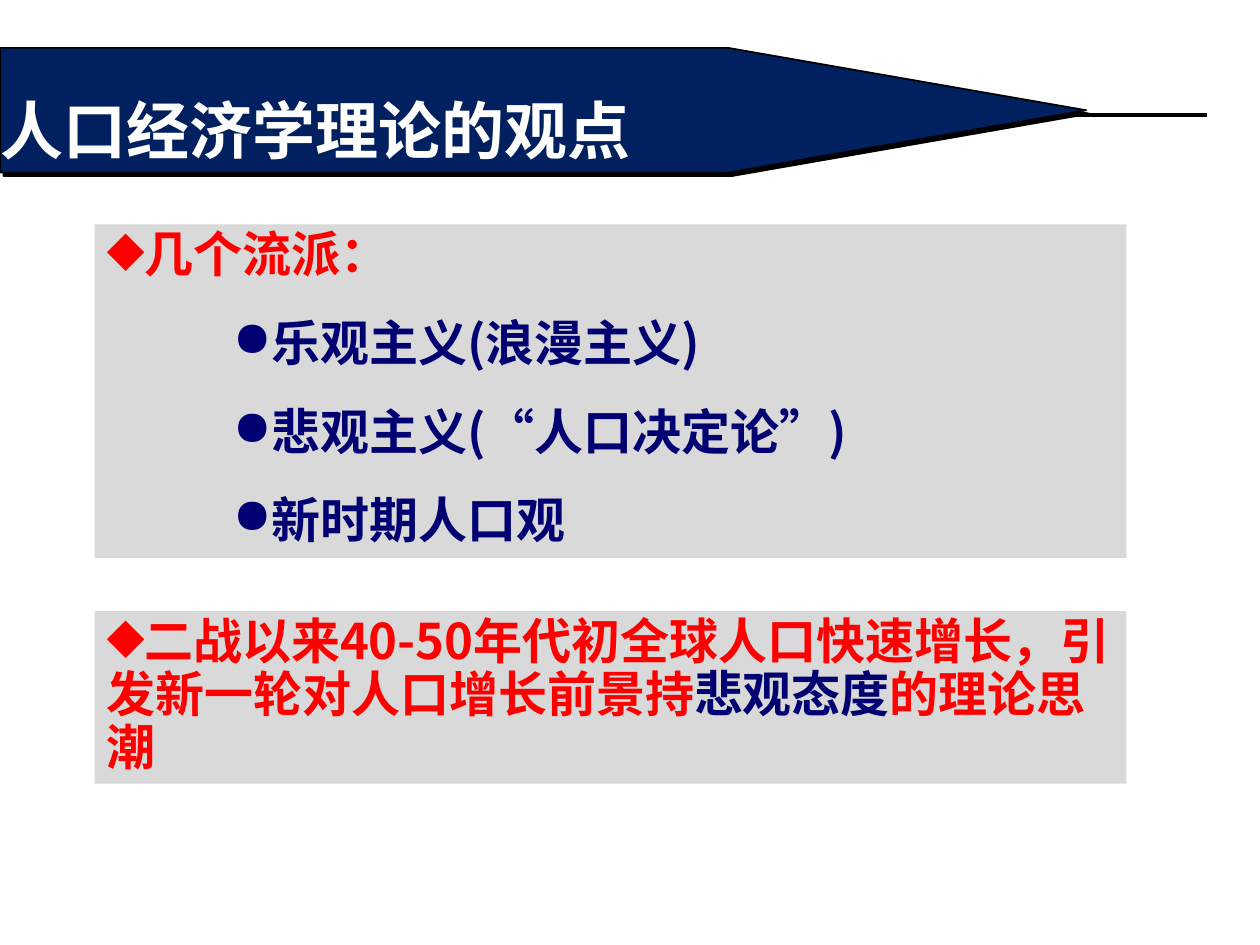
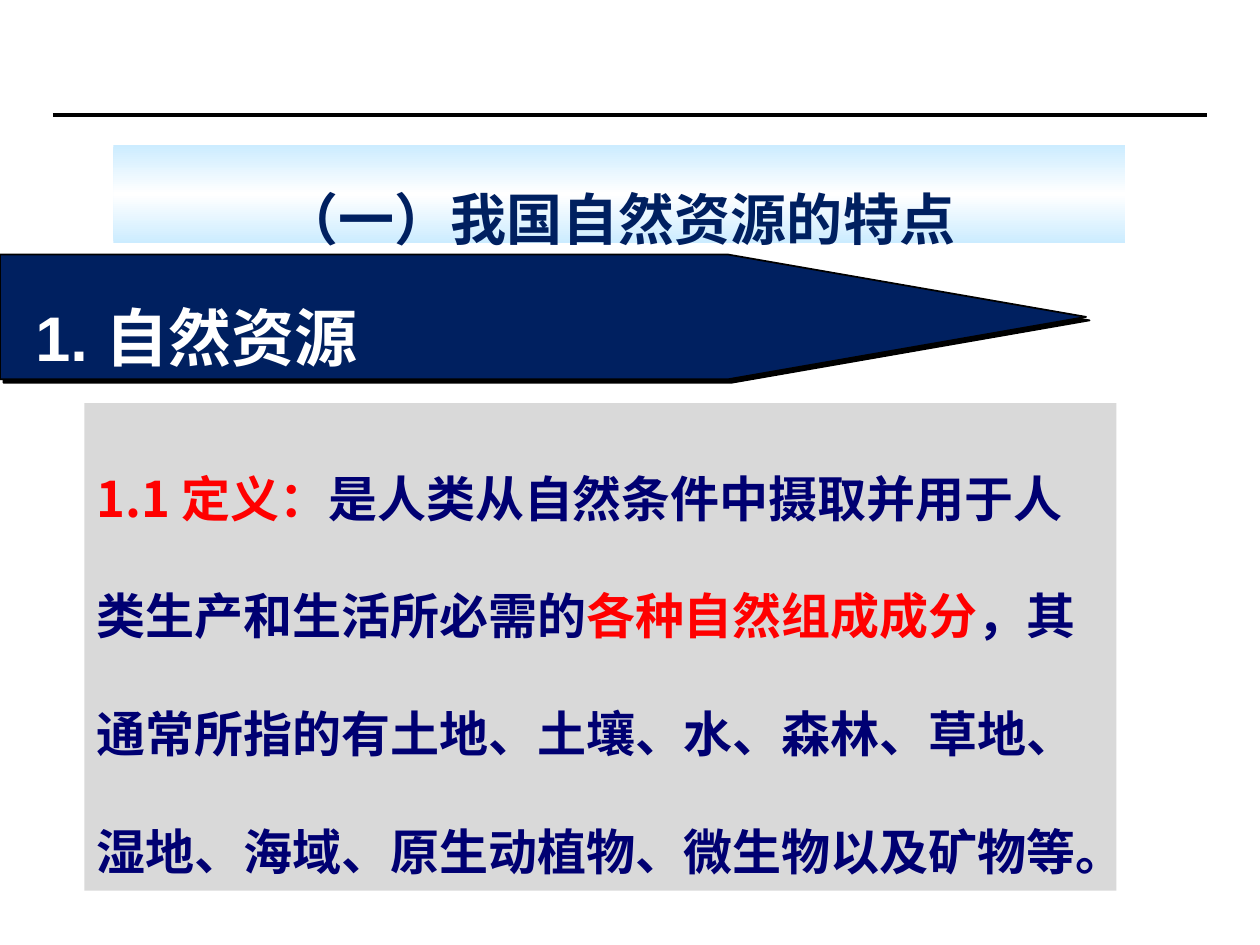
from lxml import etree
from pptx import Presentation
from pptx.dml.color import RGBColor
from pptx.enum.shapes import MSO_CONNECTOR, MSO_SHAPE
from pptx.enum.text import MSO_ANCHOR, MSO_AUTO_SIZE, PP_ALIGN
from pptx.oxml.ns import qn
from pptx.util import Inches, Pt

RECTANGLE = MSO_SHAPE.RECTANGLE
PENTAGON = MSO_SHAPE.PENTAGON
STRAIGHT = MSO_CONNECTOR.STRAIGHT
TOP, MIDDLE = MSO_ANCHOR.TOP, MSO_ANCHOR.MIDDLE
LEFT, CENTER = PP_ALIGN.LEFT, PP_ALIGN.CENTER
GROW = MSO_AUTO_SIZE.SHAPE_TO_FIT_TEXT

COLUMNS, ROWS = 100, 75
COLORS = {
    "banner": "002060",
    "panel": "D9D9D9",
    "sky": "CCECFF",
    "white": "FFFFFF",
    "black": "000000",
    "key": "FF0000",
    "body": "000072",
}
BODY_FONT = "Noto Sans CJK SC"
HEADING_FONT = "Noto Sans CJK JP"
BANNER_FONT = "Arial"


def rgb(name):
    return RGBColor.from_string(COLORS[name])


def add_xml(parent, tag, **attributes):
    return etree.SubElement(parent, qn(tag), attributes)


class Deck:
    """Holds the shared style and draws on the current slide."""

    def __init__(self):
        self.presentation = Presentation()
        self.presentation.slide_width = Inches(10)
        self.presentation.slide_height = Inches(7.5)
        self.slide = None

    def x(self, columns):
        return round(self.presentation.slide_width * columns / COLUMNS)

    def y(self, rows):
        return round(self.presentation.slide_height * rows / ROWS)

    def new_slide(self):
        """Start a slide with the shared rule across its top."""
        blank = self.presentation.slide_layouts[6]
        self.slide = self.presentation.slides.add_slide(blank)
        rule = self.slide.shapes.add_connector(
            STRAIGHT, self.x(4.2), self.y(9.1), self.x(95.8), self.y(9.1))
        rule.line.color.rgb = rgb("black")
        rule.line.width = Pt(2.25)
        add_xml(rule._element.spPr, "a:effectLst")

    def block(self, kind, left, top, width, height, anchor=TOP):
        shape = self.slide.shapes.add_shape(
            kind, self.x(left), self.y(top), self.x(width), self.y(height))
        shape.shadow.inherit = False
        shape.line.fill.background()
        shape.text_frame.word_wrap = True
        shape.text_frame.vertical_anchor = anchor
        return shape

    def fill_paragraph(self, paragraph, parts, size, font, spacing,
                       align=LEFT, bullet=None, margin=0, hanging=0):
        """Fill a paragraph with (text, colour) parts."""
        properties = paragraph._p.get_or_add_pPr()
        properties.set("marL", str(self.x(margin)))
        properties.set("indent", str(-self.x(hanging)))
        if bullet:
            add_xml(properties, "a:buChar", char=bullet)
        paragraph.alignment = align
        paragraph.line_spacing = spacing
        for text, color in parts:
            run = paragraph.add_run()
            run.text = text
            run.font.size = Pt(size)
            run.font.bold = True
            run.font.color.rgb = rgb(color)
            run.font.name = font
            east_asian = BODY_FONT if font == BANNER_FONT else font
            add_xml(run._r.get_or_add_rPr(), "a:ea", typeface=east_asian)

    def banner(self, title, top, margin=3.8, hanging=3.8):
        arrow = self.block(PENTAGON, 0, top, 86.2, 9.9, MIDDLE)
        arrow.adjustments[0] = 2.87
        arrow.fill.solid()
        arrow.fill.fore_color.rgb = rgb("banner")
        arrow.line.color.rgb = rgb("black")
        arrow.line.width = Pt(1)
        effects = arrow._element.spPr.find(qn("a:effectLst"))
        shadow = add_xml(effects, "a:outerShdw", dist=str(int(Pt(2.8))),
                         dir="2700000", algn="ctr", rotWithShape="0")
        add_xml(shadow, "a:srgbClr", val=COLORS["black"])
        frame = arrow.text_frame
        frame.margin_left = frame.margin_right = 0
        self.fill_paragraph(frame.paragraphs[0], [(title, "white")], 36,
                            BANNER_FONT, 1.5, margin=margin, hanging=hanging)

    def panel(self, left, top, height, paragraphs):
        """Grey box; each paragraph is its parts and its layout options."""
        box = self.block(RECTANGLE, left, top, 81.9, height)
        box.fill.solid()
        box.fill.fore_color.rgb = rgb("panel")
        frame = box.text_frame
        frame.auto_size = GROW
        for index, (parts, layout) in enumerate(paragraphs):
            paragraph = frame.add_paragraph() if index else frame.paragraphs[0]
            self.fill_paragraph(paragraph, parts, 28, BODY_FONT, **layout)

    def section_heading(self, text):
        strip = self.block(RECTANGLE, 9, 11.5, 80.3, 7.8)
        strip.fill.gradient()
        strip.fill.gradient_angle = 90
        stops = strip._element.spPr.find(qn("a:gradFill")).find(qn("a:gsLst"))
        for stop in list(stops):
            stops.remove(stop)
        for percent, color in ((0, "sky"), (50, "white"), (100, "sky")):
            stop = add_xml(stops, "a:gs", pos=str(percent * 1000))
            add_xml(stop, "a:srgbClr", val=COLORS[color])
        strip.text_frame.auto_size = GROW
        self.fill_paragraph(strip.text_frame.paragraphs[0], [(text, "banner")],
                            32, HEADING_FONT, 1.5, align=CENTER)


def population_views(deck):
    topic = {"spacing": 0.9, "bullet": "◆"}
    school = {"spacing": 1.5, "bullet": "●", "margin": 10}
    schools = ["乐观主义(浪漫主义)", "悲观主义(“人口决定论”)", "新时期人口观"]
    deck.new_slide()
    deck.banner("人口经济学理论的观点", 3.8)
    deck.panel(7.5, 17.8, 26.5, [([("几个流派：", "key")], topic)]
               + [([(name, "body")], school) for name in schools])
    deck.panel(7.5, 48.5, 13.7, [([
        ("二战以来40-50年代初全球人口快速增长，引发新一轮对人口增长前景持", "key"),
        ("悲观态度", "body"),
        ("的理论思潮", "key"),
    ], topic)])


def natural_resources(deck):
    deck.new_slide()
    deck.banner("1. 自然资源", 20.2, margin=2.8, hanging=0)
    deck.panel(6.7, 32, 38.7, [([
        ("1.1 定义：", "key"),
        ("是人类从自然条件中摄取并用于人类生产和生活所必需的", "body"),
        ("各种自然组成成分", "key"),
        ("，其通常所指的有土地、土壤、水、森林、草地、湿地、海域、"
         "原生动植物、微生物以及矿物等。", "body"),
    ], {"spacing": 2})])
    deck.section_heading("（一）我国自然资源的特点")


def main():
    deck = Deck()
    population_views(deck)
    natural_resources(deck)
    deck.presentation.save("out.pptx")


if __name__ == "__main__":
    main()
